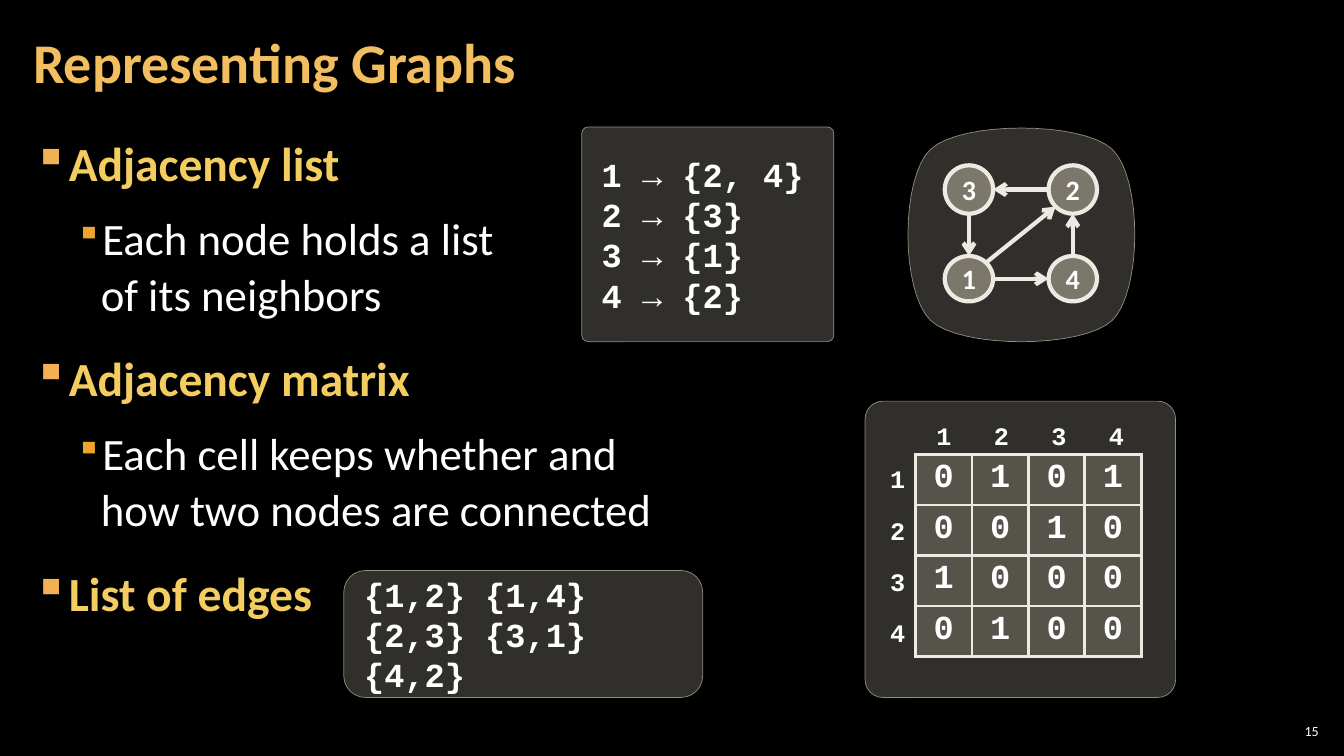
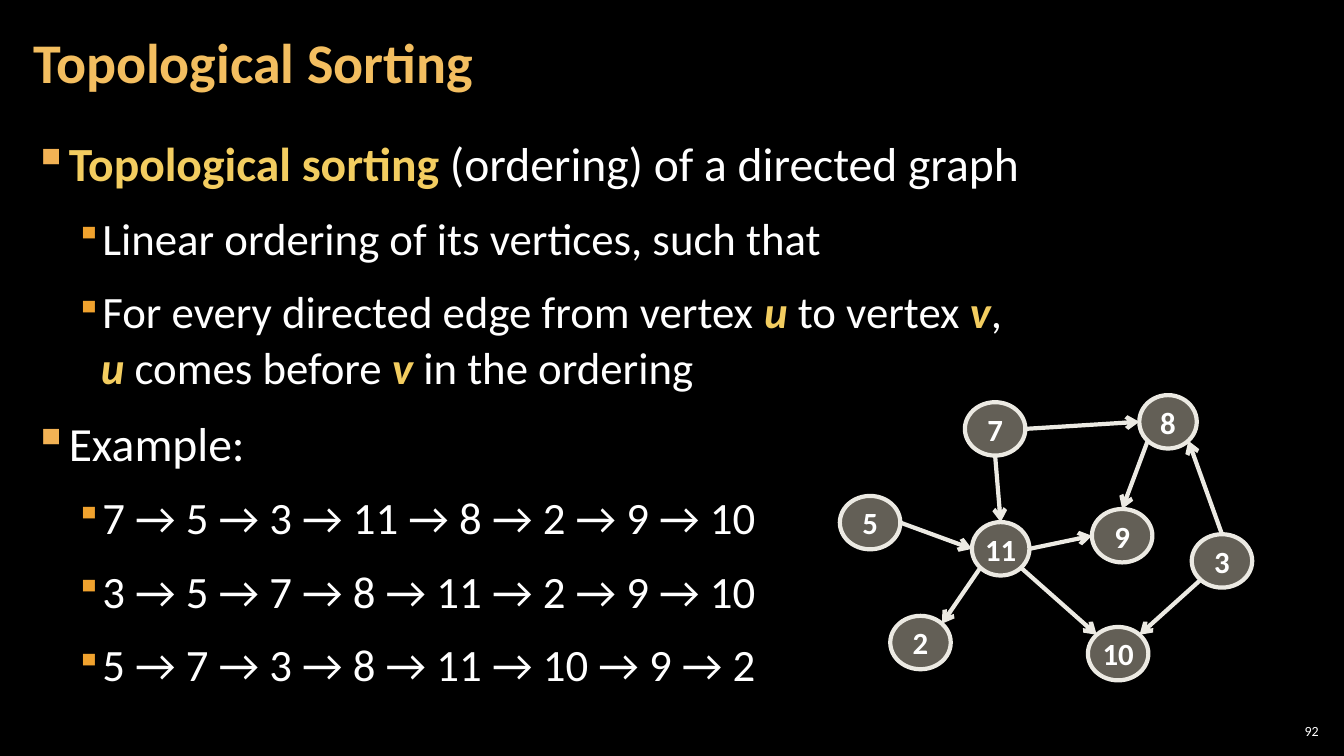
import math

import pptx
import pptx.dml.color
import pptx.enum.shapes
import pptx.enum.text
import pptx.oxml
import pptx.oxml.ns
import pptx.util

RGBColor = pptx.dml.color.RGBColor
Shape = pptx.enum.shapes.MSO_SHAPE
Align = pptx.enum.text.PP_ALIGN
Anchor = pptx.enum.text.MSO_ANCHOR
Pt = pptx.util.Pt
qn = pptx.oxml.ns.qn

PX = 9144  # 100 px to the inch
BLACK = RGBColor(0x00, 0x00, 0x00)
WHITE = RGBColor(0xFF, 0xFF, 0xFF)
TITLE = RGBColor(0xF3, 0xBE, 0x60)
ACCENT = RGBColor(0xF3, 0xCD, 0x60)
SAND = RGBColor(0xC7, 0xBF, 0xAC)
IVORY = RGBColor(0xEC, 0xEA, 0xE3)
SANS, MONO = "Calibri", "Courier New"

# Text styles: colour, bold, italic
PLAIN = (WHITE, False, False)
STRONG = (WHITE, True, False)
TERM = (ACCENT, True, False)
VARIABLE = (ACCENT, True, True)
HEADING = (TITLE, True, False)

# Outline levels: size, left margin, hanging indent, bullet colour, bullet percent
LEVELS = [(34, 33, 33, "F2B254", 100), (32, 67, 25, "F0A22E", 80)]

# Ellipse sites, in degrees clockwise from the right
RIGHT, LOWER_RIGHT, BOTTOM, LOWER_LEFT = 0, 45, 90, 135
LEFT, UPPER_LEFT, TOP, UPPER_RIGHT = 180, 225, 270, 315

REPRESENTING = [
    (0, [("Adjacency list", TERM)]),
    (1, [("Each node holds a list\nof its neighbors", PLAIN)]),
    (0, [("Adjacency matrix", TERM)]),
    (1, [("Each cell keeps whether and\nhow two nodes are connected", PLAIN)]),
    (0, [("List of edges", TERM)]),
]
ADJACENCY_LIST = ["1 → {2, 4}", "2 → {3}", "3 → {1}", "4 → {2}"]
EDGE_LIST = ["{1,2} {1,4} {2,3} {3,1} {4,2}"]
MATRIX = ["0101", "0010", "1000", "0100"]
SMALL_NODES = {
    "2": (1040, 164, 48, 48), "4": (1040, 254, 48, 45),
    "1": (937, 254, 48, 45), "3": (937, 164, 48, 48),
}
SMALL_EDGES = [
    ("4", TOP, "2", BOTTOM), ("1", RIGHT, "4", LEFT),
    ("1", UPPER_RIGHT, "2", LOWER_LEFT), ("2", LEFT, "3", RIGHT),
    ("3", BOTTOM, "1", TOP),
]
CUSHION = [  # start, then cubic curves
    (923, 318),
    [(893, 289), (893, 176), (923, 148)],
    [(953, 120), (1073, 120), (1103, 148)],
    [(1133, 176), (1133, 289), (1103, 318)],
    [(1073, 346), (953, 346), (923, 318)],
]

SORTING = [
    (0, [("Topological sorting ", TERM), ("(ordering) of a directed graph", PLAIN)]),
    (1, [("Linear ordering of its vertices, such that", PLAIN)]),
    (1, [("For every directed edge from vertex ", PLAIN), ("u", VARIABLE),
         (" to vertex ", PLAIN), ("v", VARIABLE), (",\n", PLAIN), ("u", VARIABLE),
         (" comes before ", PLAIN), ("v", VARIABLE), (" in the ordering", PLAIN)]),
    (0, [("Example:", PLAIN)]),
    (1, [("7 → 5 → 3 → 11 → 8 → 2 → 9 → 10", PLAIN)]),
    (1, [("3 → 5 → 7 → 8 → 11 → 2 → 9 → 10", PLAIN)]),
    (1, [("5 → 7 → 3 → 8 → 11 → 10 → 9 → 2", PLAIN)]),
]
LARGE_NODES = {
    "9": (1083, 505, 60, 53), "11": (964, 518, 57, 53), "2": (883, 611, 60, 53),
    "8": (1130, 392, 57, 53), "10": (1079, 622, 60, 53), "3": (1182, 530, 60, 53),
    "5": (833, 492, 60, 53), "7": (957, 399, 60, 53),
}
LARGE_EDGES = [
    ("11", RIGHT, "9", LEFT), ("11", LOWER_LEFT, "2", UPPER_RIGHT),
    ("3", LOWER_LEFT, "10", UPPER_RIGHT), ("8", LOWER_LEFT, "9", TOP),
    ("3", TOP, "8", LOWER_RIGHT), ("5", RIGHT, "11", LEFT),
    ("7", BOTTOM, "11", TOP), ("7", RIGHT, "8", LEFT),
    ("11", LOWER_RIGHT, "10", UPPER_LEFT),
]


def emu(*lengths):
    return [round(length * PX) for length in lengths]


def set_font(font, style):
    font.color.rgb, font.bold, font.italic = style


def set_alpha(element, percent):
    """Make the first colour inside the element partly transparent."""
    colour = next(element.iter(qn("a:srgbClr")))
    pptx.oxml.ns  # namespace helpers
    colour.append(xml(f'<a:alpha {{ns}} val="{percent * 1000}"/>'))


def xml(text):
    return pptx.oxml.parse_xml(text.replace("{ns}", pptx.oxml.ns.nsdecls("a")))


def set_frame(frame, insets, anchor, wrap=True):
    frame.word_wrap = wrap
    frame.vertical_anchor = anchor
    (frame.margin_left, frame.margin_top,
     frame.margin_right, frame.margin_bottom) = emu(*insets)


def write_lines(frame, lines, size, name, style, align=Align.LEFT):
    for index, line in enumerate(lines):
        para = frame.add_paragraph() if index else frame.paragraphs[0]
        para.text = line
        para.alignment = align
        para.font.size, para.font.name = Pt(size), name
        set_font(para.font, style)
    return frame.paragraphs[0]


def add_box(page, area, insets, anchor, wrap=True):
    frame = page.shapes.add_textbox(*emu(*area)).text_frame
    set_frame(frame, insets, anchor, wrap)
    return frame


def write_outline(frame, items, heading_gap):
    for index, (level, pieces) in enumerate(items):
        size, margin, hanging, bullet_colour, percent = LEVELS[level]
        para = frame.add_paragraph() if index else frame.paragraphs[0]
        para.level = level
        para.line_spacing = 1.05
        para.space_before = Pt(0 if not index else 6 if level else heading_gap)
        para.space_after = Pt(6)
        properties = para._p.get_or_add_pPr()
        properties.set("marL", str(margin * PX))
        properties.set("indent", str(-hanging * PX))
        properties.append(xml(
            f'<a:buClr {{ns}}><a:srgbClr val="{bullet_colour}"/></a:buClr>'))
        properties.append(xml(f'<a:buSzPct {{ns}} val="{percent * 1000}"/>'))
        properties.append(xml('<a:buChar {ns} char="▪"/>'))
        para.font.size, para.font.name = Pt(size), SANS
        if len(pieces) == 1:
            set_font(para.font, pieces[0][1])
        for text, style in pieces:
            for number, line in enumerate(text.split("\n")):
                if number:
                    para.add_line_break()
                if line:
                    span = para.add_run()
                    span.text = line
                    if len(pieces) > 1:
                        set_font(span.font, style)


def add_page(deck, title, number, items, heading_gap):
    page = deck.slides.add_slide(deck.slide_layouts[6])
    frame = add_box(page, (21, 4, 1047, 121), (12, 4, 12, 4), Anchor.MIDDLE)
    write_lines(frame, [title], 40, SANS, HEADING).line_spacing = 0.9
    frame = add_box(page, (21, 126, 1291, 609), (12, 4, 12, 4), Anchor.TOP)
    write_outline(frame, items, heading_gap)
    frame = add_box(page, (1265, 714, 47, 22), (4, 4, 4, 4), Anchor.MIDDLE)
    write_lines(frame, [number], 10, SANS, PLAIN, Align.RIGHT)
    return page


def paint(shape, fill_alpha, line_colour, line_width):
    shape.shadow.inherit = False
    shape.fill.solid()
    shape.fill.fore_color.rgb = SAND
    set_alpha(shape.element.spPr.find(qn("a:solidFill")), fill_alpha)
    shape.line.color.rgb = line_colour
    shape.line.width = Pt(line_width)


def paint_panel(shape):
    paint(shape, 25, SAND, 0.5)
    set_alpha(shape.element.spPr.find(qn("a:ln")), 70)


def add_panel(page, area, corner, lines=(), insets=(14, 5, 4, 5)):
    panel = page.shapes.add_shape(Shape.ROUNDED_RECTANGLE, *emu(*area))
    panel.adjustments[0] = corner
    paint_panel(panel)
    if lines:
        set_frame(panel.text_frame, insets, Anchor.MIDDLE)
        write_lines(panel.text_frame, lines, 24, MONO, STRONG)


def add_cushion(page, steps=16):
    start, *curves = CUSHION
    points, last = [], start
    for first, second, end in curves:
        for step in range(1, steps + 1):
            t = step / steps
            weights = ((1 - t) ** 3, 3 * t * (1 - t) ** 2, 3 * t * t * (1 - t), t ** 3)
            points.append(tuple(
                sum(weight * value for weight, value in zip(weights, axis))
                for axis in zip(last, first, second, end)))
        last = end
    # Finer units than px keep the curve smooth
    fine = 100
    builder = page.shapes.build_freeform(
        start[0] * fine, start[1] * fine, scale=PX / fine)
    builder.add_line_segments(
        [(round(x * fine), round(y * fine)) for x, y in points], close=True)
    paint_panel(builder.convert_to_shape())


def site(node, degrees):
    left, top, width, height = node
    angle = math.radians(degrees)
    return (left + width / 2 * (1 + math.cos(angle)),
            top + height / 2 * (1 + math.sin(angle)))


def add_graph(page, nodes, edges, size):
    for label, area in nodes.items():
        node = page.shapes.add_shape(Shape.OVAL, *emu(*area))
        paint(node, 50, IVORY, 3)
        set_frame(node.text_frame, (4, 5, 4, 5), Anchor.MIDDLE)
        write_lines(node.text_frame, [label], size, SANS, STRONG, Align.CENTER)
    for source, leaving, target, entering in edges:
        ends = site(nodes[source], leaving) + site(nodes[target], entering)
        arrow = page.shapes.add_connector(
            pptx.enum.shapes.MSO_CONNECTOR.STRAIGHT, *emu(*ends))
        arrow.line.color.rgb = IVORY
        arrow.line.width = Pt(3)
        properties = arrow.element.spPr
        properties.find(qn("a:ln")).append(xml('<a:tailEnd {ns} type="arrow"/>'))
        properties.append(xml("<a:effectLst {ns}/>"))


def add_matrix(page, left, top, width, height):
    count = len(MATRIX)
    table = page.shapes.add_table(
        count, count, *emu(left, top, width * count, height * count)).table
    table.first_row = table.horz_banding = False
    for row, values in enumerate(MATRIX):
        table.rows[row].height = height * PX
        table.columns[row].width = width * PX
        for column, value in enumerate(values):
            cell = table.cell(row, column)
            write_lines(cell.text_frame, [value], 24, MONO, STRONG, Align.CENTER)
            cell.fill.solid()
            cell.fill.fore_color.rgb = SAND
            properties = cell._tc.get_or_add_tcPr()
            set_alpha(properties, 25)
            for place, side in enumerate("LRTB"):
                properties.insert(place, xml(
                    f'<a:ln{side} {{ns}} w="{Pt(2.25)}"><a:solidFill>'
                    f'<a:srgbClr val="{IVORY}"/></a:solidFill></a:ln{side}>'))
    for index in range(count):
        for x, y in ((left - 35, top + 4 + 51 * index), (left + 11 + 57 * index, top - 39)):
            frame = add_box(page, (x, y, 34, 40), (10, 5, 10, 5), Anchor.TOP, wrap=False)
            write_lines(frame, [str(index + 1)], 18, MONO, STRONG, Align.CENTER)


def main():
    deck = pptx.Presentation()
    deck.slide_width, deck.slide_height = pptx.util.Inches(13.33), pptx.util.Inches(7.5)
    background = deck.slide_master.background.fill
    background.solid()
    background.fore_color.rgb = BLACK

    page = add_page(deck, "Representing Graphs", "15", REPRESENTING, 12)
    add_panel(page, (858, 398, 308, 294), 0.06)
    add_matrix(page, 908, 451, 56, 50)
    add_panel(page, (341, 566, 356, 126), 0.17, EDGE_LIST)
    add_panel(page, (577, 126, 250, 213), 0.03, ADJACENCY_LIST, (18, 8, 8, 8))
    add_cushion(page)
    add_graph(page, SMALL_NODES, SMALL_EDGES, 20)

    page = add_page(deck, "Topological Sorting", "92", SORTING, 6)
    add_graph(page, LARGE_NODES, LARGE_EDGES, 22)
    deck.save("out.pptx")


if __name__ == "__main__":
    main()
